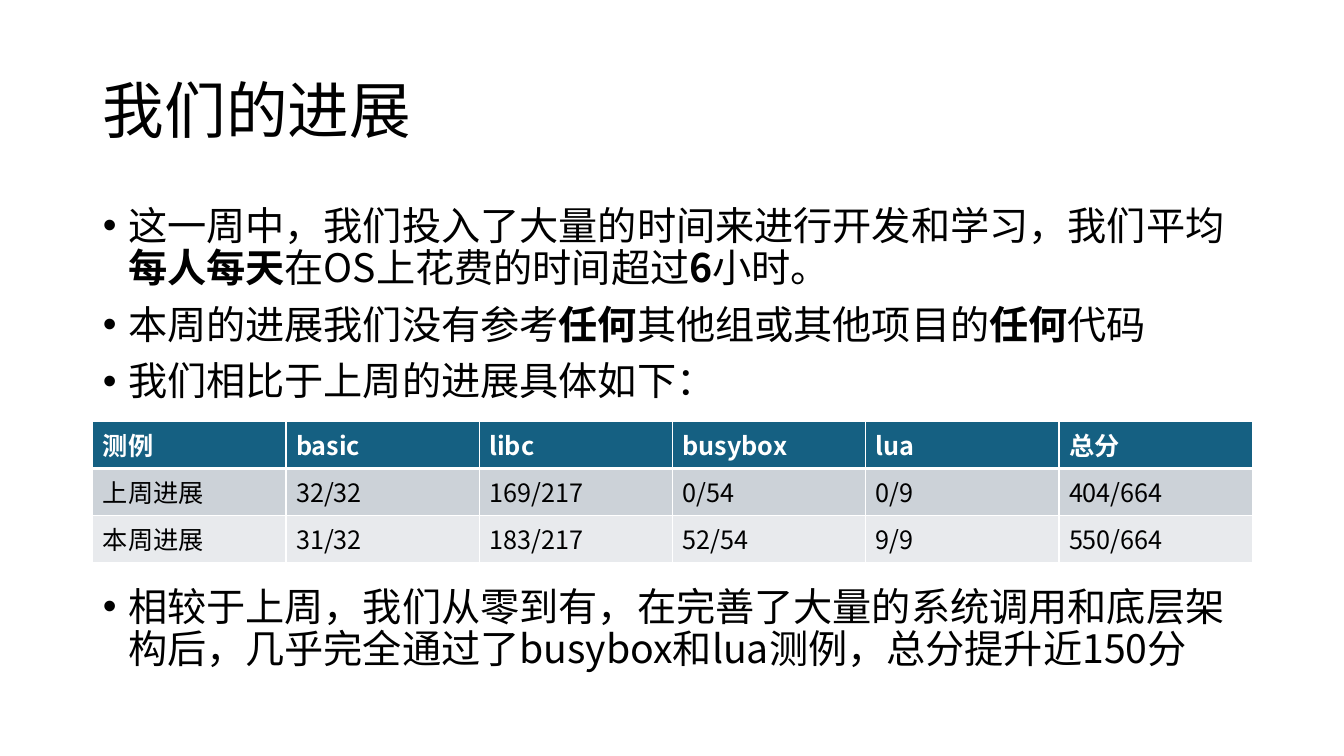
from lxml.etree import SubElement
from pptx import Presentation
from pptx.dml.color import RGBColor
from pptx.enum.text import MSO_ANCHOR, MSO_AUTO_SIZE, PP_ALIGN
from pptx.oxml.ns import qn
from pptx.util import Inches, Pt

FONT = "Noto Sans CJK SC"
BLACK, WHITE = "000000", "FFFFFF"
HEADER_FILL, BAND_FILLS = "156082", ("CCD2D8", "E8EAED")
LEFT, WIDTH = 0.92, 11.5

TITLE = "我们的进展"
# Each bullet is a list of runs that alternate between regular and bold
BULLETS = [
    ["这一周中，我们投入了大量的时间来进行开发和学习，我们平均", "每人每天",
     "在OS上花费的时间超过", "6", "小时。"],
    ["本周的进展我们没有参考", "任何", "其他组或其他项目的", "任何", "代码"],
    ["我们相比于上周的进展具体如下："],
    ["相较于上周，我们从零到有，在完善了大量的系统调用和底层架构后，"
     "几乎完全通过了busybox和lua测例，总分提升近150分"],
]
SCORES = [
    ["测例", "basic", "libc", "busybox", "lua", "总分"],
    ["上周进展", "32/32", "169/217", "0/54", "0/9", "404/664"],
    ["本周进展", "31/32", "183/217", "52/54", "9/9", "550/664"],
]


def rgb(color):
    return RGBColor.from_string(color)


def style_paragraph(paragraph, size, color=BLACK, bold=None):
    font = paragraph.font
    font.size, font.bold, font.name = Pt(size), bold, FONT
    font.color.rgb = rgb(color)
    # East Asian typeface, beside the Latin one
    props = paragraph._p.get_or_add_pPr().find(qn("a:defRPr"))
    SubElement(props, qn("a:ea"), typeface=FONT)


def place(placeholder, top, height, anchor):
    placeholder.left, placeholder.top = Inches(LEFT), Inches(top)
    placeholder.width, placeholder.height = Inches(WIDTH), Inches(height)
    frame = placeholder.text_frame
    frame.word_wrap = True
    frame.auto_size = MSO_AUTO_SIZE.NONE
    frame.vertical_anchor = anchor
    return frame


def fill_title(placeholder):
    frame = place(placeholder, 0.4, 1.45, MSO_ANCHOR.MIDDLE)
    frame.text = TITLE
    heading = frame.paragraphs[0]
    heading.alignment, heading.line_spacing = PP_ALIGN.LEFT, 0.9
    style_paragraph(heading, 44)


def fill_bullets(placeholder):
    frame = place(placeholder, 2, 4.76, MSO_ANCHOR.TOP)
    for index, phrases in enumerate(BULLETS):
        bullet = frame.paragraphs[0] if index == 0 else frame.add_paragraph()
        bullet.line_spacing, bullet.space_before = 0.9, Pt(10)
        style_paragraph(bullet, 28)
        props = bullet._p.get_or_add_pPr()
        props.set("marL", str(Inches(0.25)))
        props.set("indent", str(Inches(-0.25)))
        for position, phrase in enumerate(phrases):
            run = bullet.add_run()
            run.text = phrase
            run.font.bold = position % 2 == 1
    # The last bullet leaves room for the table above it
    bullet.space_before = Pt(131)


def add_border(cell, side, width):
    line = SubElement(cell._tc.get_or_add_tcPr(), qn(f"a:ln{side}"),
                      w=str(Pt(width)))
    SubElement(SubElement(line, qn("a:solidFill")), qn("a:srgbClr"), val=WHITE)


def fill_cell(cell, text, row):
    header = row == 0
    top, bottom = (3 if row == 1 else 1), (3 if header else 1)
    for side, width in zip("LRTB", (1, 1, top, bottom)):
        add_border(cell, side, width)
    cell.fill.solid()
    cell.fill.fore_color.rgb = rgb(HEADER_FILL if header else BAND_FILLS[row - 1])
    cell.text = text
    style_paragraph(cell.text_frame.paragraphs[0], 18,
                    WHITE if header else BLACK, header)


def add_score_table(slide):
    table = slide.shapes.add_table(
        len(SCORES), len(SCORES[0]),
        Inches(LEFT), Inches(4.18), Inches(WIDTH), Inches(1.4)).table
    for row, scores in enumerate(SCORES):
        for column, score in enumerate(scores):
            fill_cell(table.cell(row, column), score, row)


def main():
    deck = Presentation()
    deck.slide_width, deck.slide_height = Inches(13.33), Inches(7.5)
    slide = deck.slides.add_slide(deck.slide_layouts[1])
    fill_title(slide.shapes.title)
    fill_bullets(slide.placeholders[1])
    add_score_table(slide)
    deck.save("out.pptx")


if __name__ == "__main__":
    main()
